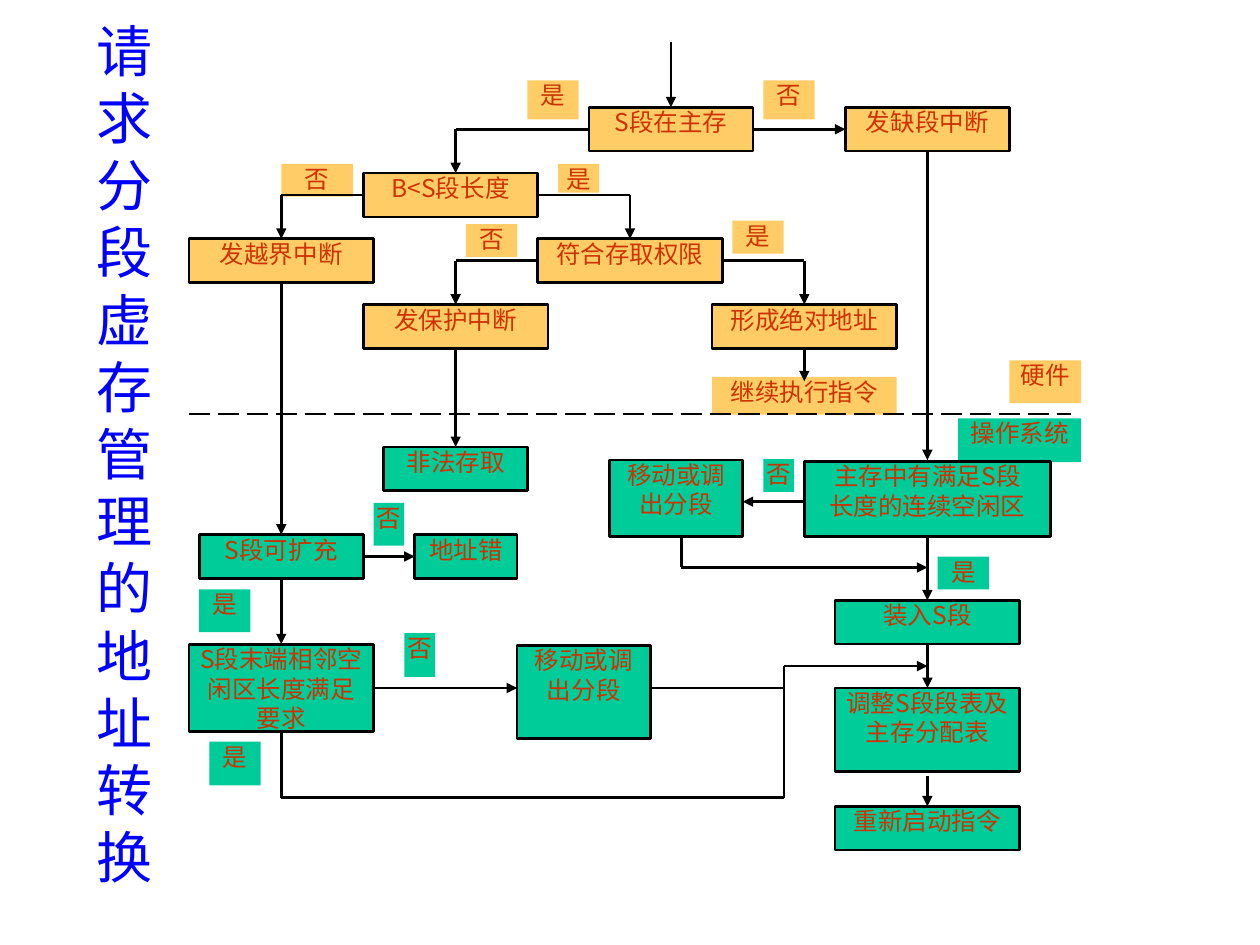
from dataclasses import dataclass

import pptx
import pptx.dml.color
import pptx.enum.dml
import pptx.enum.shapes
import pptx.enum.text
import pptx.oxml.ns
import pptx.util
from lxml import etree


@dataclass(frozen=True)
class Theme:
    """Colours, type and line sizes of the slide."""
    hardware: str = "FFCC66"
    system: str = "00CC99"
    ink: str = "CC3300"
    title: str = "0000FF"
    stroke: str = "000000"
    font: str = "Noto Sans CJK JP"
    body_size: int = 14
    title_size: int = 32
    stroke_width: float = 1.5
    leading: float = 1.2


THEME = Theme()
LEFT, TOP = 1.5, 0.33
COL, ROW = 7 / 86, 6 / 69  # the chart is 86 columns wide and 69 rows to its lowest route

# Each entry: text, column, row, columns wide, rows high
HARDWARE_STEPS = [
    ("S段在主存", 39, 6, 16, 4), ("发缺段中断", 64, 6, 16, 4),
    ("B<S段长度", 17, 12, 17, 4), ("发越界中断", 0, 18, 18, 4),
    ("符合存取权限", 34, 18, 18, 4), ("发保护中断", 17, 24, 18, 4),
    ("形成绝对地址", 51, 24, 18, 4),
]
SYSTEM_STEPS = [
    ("非法存取", 19, 37, 14, 4), ("移动或调\n出分段", 41, 38.2, 13, 7),
    ("主存中有满足S段\n长度的连续空闲区", 60, 38.3, 24, 6.9),
    ("S段可扩充", 1, 45, 16, 4), ("地址错", 22, 45, 10, 4),
    ("S段末端相邻空\n闲区长度满足\n要求", 0, 55, 18, 8),
    ("移动或调\n出分段", 32, 55.1, 13, 8.5), ("装入S段", 63, 51, 18, 4),
    ("调整S段段表及主存分配表", 63, 59, 18, 7.6), ("重新启动指令", 63, 69.8, 18, 4),
]
HARDWARE_LABELS = [
    ("是", 33, 3.55, 5, 3.55), ("否", 56, 3.55, 5, 3.55),
    ("否", 9, 11.15, 7, 3), ("是", 36, 11.15, 4, 2.65),
    ("否", 27, 16.65, 5, 3), ("是", 53, 16.35, 5, 3),
    ("继续执行指令", 51, 30.6, 18, 3.45), ("硬件", 80, 29.1, 7, 3.9),
]
SYSTEM_LABELS = [
    ("操作系统", 75, 34.4, 12, 4), ("否", 56, 38.1, 3, 3),
    ("否", 18, 42.1, 3, 3.9), ("是", 73, 47, 5, 3), ("是", 1, 50, 5, 3.9),
    ("否", 21, 54, 3, 4), ("是", 2, 63.9, 5, 4),
]
# Corner points (column, row); the last leg carries the arrowhead
ARROWS = [
    [(47, 0), (47, 6)], [(55, 8), (64, 8)], [(72, 10), (72, 38.2)],
    [(39, 8), (26, 8), (26, 12)], [(34, 14), (43, 14), (43, 18)],
    [(17, 14), (9, 14), (9, 18)], [(52, 20), (60, 20), (60, 24)],
    [(34, 20), (26, 20), (26, 24)], [(60, 28), (60, 31)],
    [(9, 22), (9, 45)], [(26, 28), (26, 37)], [(60, 42), (54, 42)],
    [(17, 47), (22, 47)], [(9, 49), (9, 55)], [(18, 59), (32, 59)],
    [(9, 63), (9, 69), (58, 69), (58, 57), (72, 57)],
    [(48, 45), (48, 48), (72, 48)], [(72, 45), (72, 51)],
    [(72, 55), (72, 59)], [(72, 67), (72, 69.8)],
]
MERGE = [(45, 59), (58, 59)]
BOUNDARY = [(0, 34), (86, 34)]


def rgb(value):
    """Turn a hex string into a colour."""
    return pptx.dml.color.RGBColor.from_string(value)


def at(column, row):
    """Place a grid point on the slide."""
    return pptx.util.Inches(LEFT + column * COL), pptx.util.Inches(TOP + row * ROW)


def apply(target, formats):
    """Set every attribute named in formats."""
    for name, value in formats.items():
        setattr(target, name, value)


def write(frame, text, size, color, align, inset):
    """Fill a text frame, one paragraph for each line."""
    apply(frame, {"word_wrap": True, "vertical_anchor": pptx.enum.text.MSO_ANCHOR.TOP, **inset})
    frame.text = text
    for paragraph in frame.paragraphs:
        apply(paragraph, {"alignment": align,
                          "line_spacing": pptx.util.Pt(size * THEME.leading)})
        for run in paragraph.runs:
            apply(run.font, {"name": THEME.font, "size": pptx.util.Pt(size)})
            run.font.color.rgb = rgb(color)
            east_asian = etree.SubElement(run.font._element, pptx.oxml.ns.qn("a:ea"))
            east_asian.set("typeface", THEME.font)


def add_block(slide, entry, fill, outlined):
    """Draw a process step, or a label when it has no outline."""
    text, column, row, columns, rows = entry
    block = slide.shapes.add_shape(
        pptx.enum.shapes.MSO_SHAPE.RECTANGLE, *at(column, row),
        pptx.util.Inches(columns * COL), pptx.util.Inches(rows * ROW))
    block.shadow.inherit = False
    block.fill.solid()
    block.fill.fore_color.rgb = rgb(fill)
    if outlined:
        block.line.color.rgb = rgb(THEME.stroke)
        block.line.width = pptx.util.Pt(THEME.stroke_width)
    else:
        block.line.fill.background()
    inset = dict.fromkeys(("margin_left", "margin_top", "margin_right", "margin_bottom"), 0)
    write(block.text_frame, text, THEME.body_size, THEME.ink,
          pptx.enum.text.PP_ALIGN.CENTER, inset)


def add_route(slide, points, arrow=False, dash=None):
    """Join the corner points with straight legs."""
    for start, end in zip(points, points[1:]):
        leg = slide.shapes.add_connector(
            pptx.enum.shapes.MSO_CONNECTOR.STRAIGHT, *at(*start), *at(*end))
        leg.line.color.rgb = rgb(THEME.stroke)
        apply(leg.line, {"width": pptx.util.Pt(THEME.stroke_width), "dash_style": dash})
        if arrow and end == points[-1]:
            head = etree.SubElement(leg.line._get_or_add_ln(), pptx.oxml.ns.qn("a:tailEnd"))
            head.set("type", "triangle")
        etree.SubElement(leg._element.spPr, pptx.oxml.ns.qn("a:effectLst"))


def add_title(slide, text):
    """Set the title in a box one character wide."""
    title = slide.shapes.add_textbox(*map(pptx.util.Inches, (0.67, 0.08, 1, 7.03)))
    write(title.text_frame, text, THEME.title_size, THEME.title,
          pptx.enum.text.PP_ALIGN.LEFT, {})


def main():
    """Build the address translation flowchart."""
    deck = pptx.Presentation()
    apply(deck, {"slide_width": pptx.util.Inches(10), "slide_height": pptx.util.Inches(7.5)})
    slide = deck.slides.add_slide(deck.slide_layouts[6])
    for entries, fill, outlined in (
            (HARDWARE_LABELS, THEME.hardware, False), (SYSTEM_LABELS, THEME.system, False),
            (HARDWARE_STEPS, THEME.hardware, True), (SYSTEM_STEPS, THEME.system, True)):
        for entry in entries:
            add_block(slide, entry, fill, outlined)
    for points in ARROWS:
        add_route(slide, points, arrow=True)
    add_route(slide, MERGE)
    add_route(slide, BOUNDARY, dash=pptx.enum.dml.MSO_LINE.LONG_DASH)
    add_title(slide, "请求分段虚存管理的地址转换")
    deck.save("out.pptx")


main()
